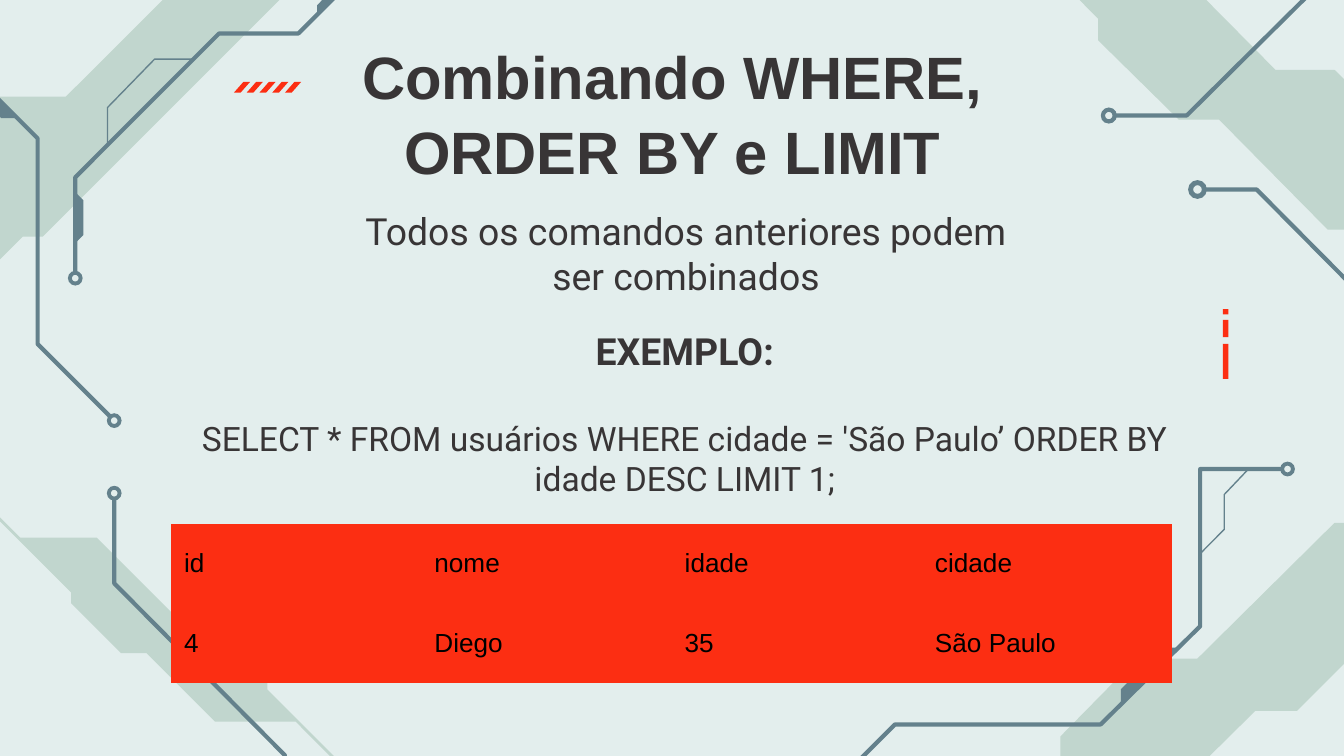
from pptx import Presentation
from pptx.dml.color import RGBColor
from pptx.enum.shapes import MSO_SHAPE
from pptx.enum.text import MSO_ANCHOR, MSO_AUTO_SIZE, PP_ALIGN
from pptx.util import Inches, Pt

DONUT, RECTANGLE, SLASH = MSO_SHAPE.DONUT, MSO_SHAPE.RECTANGLE, MSO_SHAPE.PARALLELOGRAM
CENTER, MIDDLE, NO_FIT = PP_ALIGN.CENTER, MSO_ANCHOR.MIDDLE, MSO_AUTO_SIZE.NONE
TITLE_ONLY = 5
PLAIN_TABLE_STYLE = "{2D5ABB26-0587-4C30-8999-92F81FD0307C}"
COLORS = {"background": "E3EEED", "band": "C1D6CE", "circuit": "64818C",
          "accent": "FC2E12", "text": "383536", "cell": "000000"}

# Pale corner bands
BANDS = [
    [(8.49, -0.49), (9.49, 0.52), (9.93, 0.52), (10.5, 1.08), (10.5, 1.35), (10.86, 1.71),
     (9.88, 1.71), (9.07, 0.89), (8.77, 0.89), (8.17, 0.3), (8.17, 0.14), (7.55, -0.49)],
    [(-2.06, 1.79), (-2.08, 1.8), (0.53, 4.41), (0.53, 4.49), (0.9, 4.86), (1.09, 4.86),
     (1.6, 5.37), (2.2, 5.37), (4.82, 8), (4.84, 7.98), (1.99, 5.13), (1.99, 4.98),
     (1.63, 4.63), (1.35, 4.63), (0.72, 4), (0.15, 4)],
    [(9.93, 3.89), (8.91, 4.9), (8.46, 4.9), (7.89, 5.48), (7.89, 5.75), (7.52, 6.11),
     (8.51, 6.11), (9.34, 5.29), (9.65, 5.29), (10.25, 4.69), (10.25, 4.53), (10.89, 3.89)],
    [(1.21, 0), (0.49, 0.72), (-0.16, 0.72), (-1.62, 2.17), (-0.25, 2.18), (0.17, 1.76),
     (0.32, 1.76), (2.08, 0)],
]
# Dark pieces that thicken the circuit traces
TABS = [
    [(8.77, 4.82), (8.64, 4.82), (8.34, 5.13), (8.34, 5.25)],
    [(0.57, 1.44), (0.62, 1.49), (0.62, 1.75), (0.57, 1.8)],
    [(2.62, -0.15), (2.36, 0.11), (2.36, 0.04), (2.54, -0.15)],
    [(-0.29, 0.45), (-0.29, 0.57), (0.01, 0.88), (0.13, 0.88)],
]
# Circuit traces along their centre lines
TRACES = [
    [(0.85, 3.7), (0.85, 4.34), (2.12, 5.62), (2.12, 6.02)],
    [(8.97, 1.41), (9.35, 1.41), (10.57, 2.64), (11.2, 2.64)],
    [(9.55, 3.49), (8.93, 3.49), (8.93, 4.66), (8.19, 5.39), (6.66, 5.39), (6.11, 5.94)],
    [(3.01, -0.54), (2.22, 0.25), (1.63, 0.25), (0.56, 1.32), (0.56, 2.03)],
    [(8.29, 0.86), (8.83, 0.86), (9.9, -0.2), (10.23, -0.2)],
    [(-1.62, -0.33), (-1.62, 0.3), (-0.45, 0.3), (0.28, 1.03), (0.28, 2.56), (0.83, 3.11)],
]
THIN_TRACES = [
    [(1.45, 0.44), (1.15, 0.44), (0.8, 0.8), (0.8, 1.09)],
    [(9.29, 3.49), (9.11, 3.68), (9.11, 3.94), (8.93, 4.12)],
]
# Trace ends: centre x, centre y, diameter
RINGS = [(0.85, 3.67, 0.11), (8.91, 1.41, 0.14), (9.58, 3.49, 0.11),
         (0.56, 2.07, 0.11), (8.25, 0.86, 0.12), (0.85, 3.13, 0.11)]


def color(name):
    return RGBColor.from_string(COLORS[name])


def fill_shape(shape, color_name):
    shape.shadow.inherit = False
    shape.fill.solid()
    shape.fill.fore_color.rgb = color(color_name)
    shape.line.fill.background()


def build_path(slide, points, closed):
    points = [(Inches(x), Inches(y)) for x, y in points]
    builder = slide.shapes.build_freeform(*points[0])
    builder.add_line_segments(points[1:], close=closed)
    return builder.convert_to_shape()


def add_polygon(slide, points, color_name):
    fill_shape(build_path(slide, points, True), color_name)


def add_trace(slide, points, width):
    shape = build_path(slide, points, False)
    shape.shadow.inherit = False
    shape.fill.background()
    shape.line.color.rgb = color("circuit")
    shape.line.width = Pt(width)


def add_preset(slide, kind, left, top, width, height, color_name, adjustment=None):
    shape = slide.shapes.add_shape(kind, Inches(left), Inches(top), Inches(width), Inches(height))
    fill_shape(shape, color_name)
    if adjustment is not None:
        shape.adjustments[0] = adjustment


def add_run(paragraph, text, size, font_name="Roboto", bold=False, color_name="text"):
    run = paragraph.add_run()
    run.text = text
    run.font.name = font_name
    run.font.size = Pt(size)
    run.font.bold = bold
    run.font.color.rgb = color(color_name)


def add_title(slide, text):
    title = slide.shapes.title
    title.left, title.top = Inches(2.16), Inches(0.26)
    title.width, title.height = Inches(5.69), Inches(1.14)
    frame = title.text_frame
    frame.auto_size = NO_FIT
    frame.word_wrap = True
    frame.vertical_anchor = MIDDLE
    paragraph = frame.paragraphs[0]
    paragraph.alignment = CENTER
    paragraph.line_spacing = 1.05
    add_run(paragraph, text, 32, "Arial", True)


def add_text(slide, left, top, width, height, lines):
    """Each line is (text, size, bold, space before in points)."""
    box = slide.shapes.add_textbox(Inches(left), Inches(top), Inches(width), Inches(height))
    frame = box.text_frame
    frame.word_wrap = True
    for index, (text, size, bold, space) in enumerate(lines):
        paragraph = frame.add_paragraph() if index else frame.paragraphs[0]
        paragraph.alignment = CENTER
        paragraph.space_before = Pt(space)
        add_run(paragraph, text, size, bold=bold)


def add_result_table(slide, rows):
    frame = slide.shapes.add_table(len(rows), len(rows[0]), Inches(1.27), Inches(3.9),
                                   Inches(7.45), Inches(1.18))
    table = frame.table
    table.first_row = table.horz_banding = False
    table._tbl.tblPr[0].text = PLAIN_TABLE_STYLE
    for row_index, row in enumerate(rows):
        for column_index, text in enumerate(row):
            cell = table.cell(row_index, column_index)
            cell.vertical_anchor = MIDDLE
            cell.fill.solid()
            cell.fill.fore_color.rgb = color("accent")
            add_run(cell.text_frame.paragraphs[0], text, 14, "Arial", color_name="cell")


def add_decoration(slide):
    for points in BANDS:
        add_polygon(slide, points, "band")
    for points in TABS:
        add_polygon(slide, points, "circuit")
    for points in TRACES:
        add_trace(slide, points, 2.25)
    for points in THIN_TRACES:
        add_trace(slide, points, 0.75)
    for x, y, size in RINGS:
        add_preset(slide, DONUT, x - size / 2, y - size / 2, size, size, "circuit", 0.27)
    # Red slashes and vertical dashes
    for index in range(5):
        add_preset(slide, SLASH, 1.74 + index * 0.095, 0.61, 0.12, 0.08, "accent", 0.88)
    for top, height in [(2.3, 0.04), (2.38, 0.13), (2.56, 0.26)]:
        add_preset(slide, RECTANGLE, 9.1, top, 0.04, height, "accent")


def main():
    presentation = Presentation()
    presentation.slide_width = Inches(10)
    presentation.slide_height = Inches(10) * 9 // 16
    slide = presentation.slides.add_slide(presentation.slide_layouts[TITLE_ONLY])
    slide.background.fill.solid()
    slide.background.fill.fore_color.rgb = color("background")

    add_decoration(slide)
    # Title goes in front of the decoration
    slide.shapes._spTree.append(slide.shapes.title._element)
    add_title(slide, "Combinando WHERE, ORDER BY e LIMIT")
    add_text(slide, 2.49, 1.5, 5.23, 0.77,
             [("Todos os comandos anteriores podem ser combinados", 20, False, 0)])
    add_text(slide, 1.37, 2.39, 7.45, 1.68, [
        ("EXEMPLO:", 20, True, 0),
        ("SELECT * FROM usuários WHERE cidade = 'São Paulo’ ORDER BY idade DESC LIMIT 1;",
         18, False, 24),
    ])
    add_result_table(slide, [["id", "nome", "idade", "cidade"],
                             ["4", "Diego", "35", "São Paulo"]])
    presentation.save("out.pptx")


if __name__ == "__main__":
    main()
